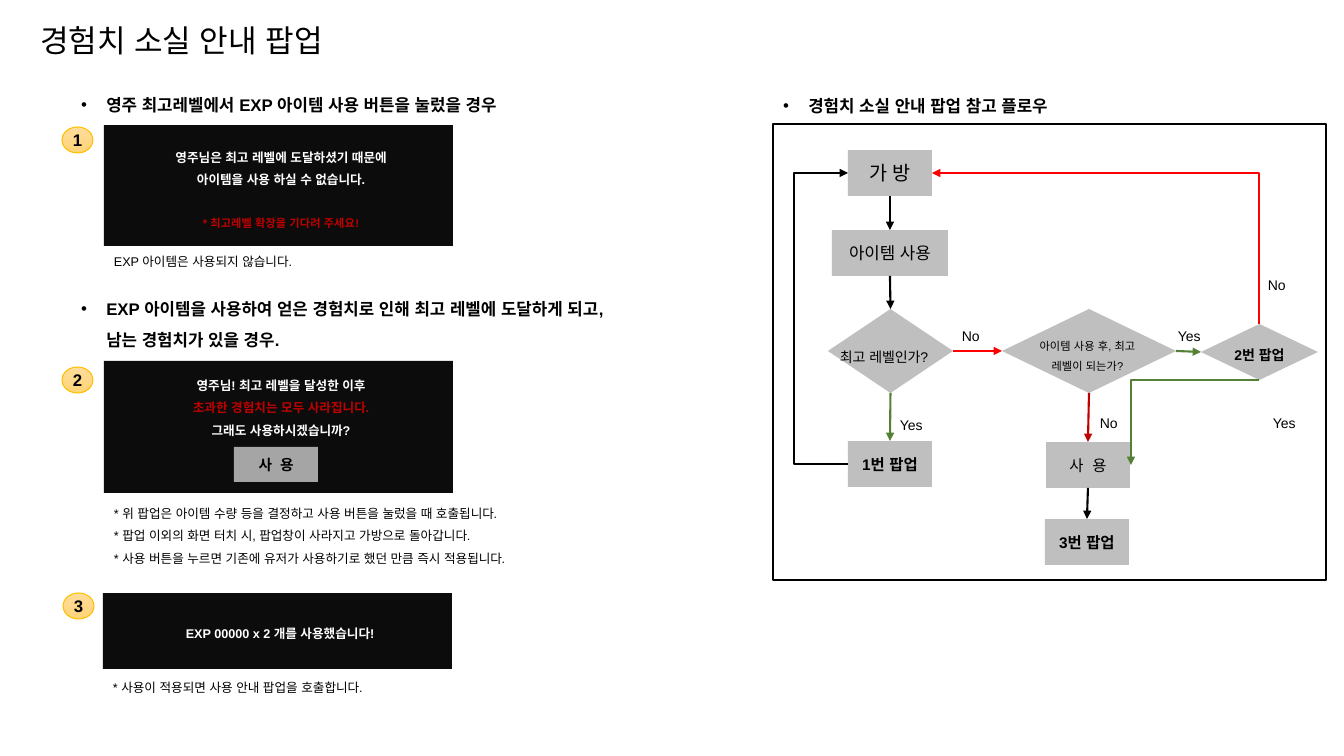
from copy import deepcopy

from lxml.etree import SubElement
from pptx import Presentation
from pptx.dml.color import RGBColor
from pptx.enum.shapes import MSO_CONNECTOR, MSO_SHAPE
from pptx.enum.text import MSO_ANCHOR, MSO_AUTO_SIZE, PP_ALIGN
from pptx.oxml.ns import qn
from pptx.util import Emu, Pt

PX = 914400 / 100.8
FONT = "Arial"
BLACK = RGBColor(0x00, 0x00, 0x00)
WHITE = RGBColor(0xFF, 0xFF, 0xFF)
PANEL = RGBColor(0x0C, 0x0C, 0x0C)
STEP_GRAY = RGBColor(0xBF, 0xBF, 0xBF)
BUTTON_GRAY = RGBColor(0xA5, 0xA5, 0xA5)
RED = RGBColor(0xFF, 0x00, 0x00)
DARK_RED = RGBColor(0xC0, 0x00, 0x00)
GREEN = RGBColor(0x54, 0x81, 0x35)
GOLD = RGBColor(0xFF, 0xC0, 0x00)
GOLD_TOP = RGBColor(0xFF, 0xDC, 0x9B)
GOLD_BOTTOM = RGBColor(0xFF, 0xD4, 0x78)
LEFT, CENTER = PP_ALIGN.LEFT, PP_ALIGN.CENTER
RECT, DIAMOND = MSO_SHAPE.RECTANGLE, MSO_SHAPE.FLOWCHART_DECISION
TOP_SITE, LEFT_SITE, BOTTOM_SITE, RIGHT_SITE = range(4)

TITLE = ("경험치 소실 안내 팝업", (30, 1, 654, 65))
# Within a paragraph, \v starts a new line.
HEADINGS = [
    ("영주 최고레벨에서 EXP 아이템 사용 버튼을 눌렀을 경우", (71, 80, 591, 45)),
    ("EXP 아이템을 사용하여 얻은 경험치로 인해 최고 레벨에 도달하게 되고,\v남는 경험치가 있을 경우.",
     (71, 284, 602, 89)),
    ("경험치 소실 안내 팝업 참고 플로우", (773, 81, 358, 45)),
]
# number, badge place, panel box, message box, message, note box, note
POPUPS = [
    ("1", (62, 127), (104, 125, 349, 121), (111, 137, 340, 99),
     "영주님은 최고 레벨에 도달하셨기 때문에\v아이템을 사용 하실 수 없습니다.\n* 최고레벨 확장을 기다려 주세요!",
     (104, 241, 329, 30), "EXP 아이템은 사용되지 않습니다."),
    ("2", (62, 367), (104, 361, 349, 132), (111, 365, 340, 79),
     "영주님! 최고 레벨을 달성한 이후\v초과한 경험치는 모두 사라집니다.\v그래도 사용하시겠습니까?",
     (104, 493, 455, 79),
     "* 위 팝업은 아이템 수량 등을 결정하고 사용 버튼을 눌렀을 때 호출됩니다.\v"
     "* 팝업 이외의 화면 터치 시, 팝업창이 사라지고 가방으로 돌아갑니다.\v"
     "* 사용 버튼을 누르면 기존에 유저가 사용하기로 했던 만큼 즉시 적용됩니다."),
    ("3", (63, 593), (103, 593, 349, 76), (110, 613, 340, 30),
     "EXP 00000 x 2 개를 사용했습니다!",
     (103, 667, 307, 33), "* 사용이 적용되면 사용 안내 팝업을 호출합니다."),
]
USE_BUTTON = ("사  용", (234, 447, 84, 35))
FLOW_FRAME = (773, 124, 553, 456)
# key: text, box, size, bold
STEPS = {
    "bag": ("가 방", (848, 150, 84, 46), 14, False),
    "use item": ("아이템 사용", (832, 230, 116, 46), 12, False),
    "popup 1": ("1번 팝업", (848, 441, 84, 46), 11, True),
    "use": ("사  용", (1046, 442, 84, 46), 11, False),
    "popup 3": ("3번 팝업", (1045, 519, 84, 46), 11, True),
}
# key: text, diamond box, text box, size, bold, alignment
DECISIONS = {
    "is max": ("최고 레벨인가?", (828, 309, 125, 84), (830, 335, 120, 32), 10, False, LEFT),
    "will be max": ("아이템 사용 후, 최고 레벨이 되는가?", (1002, 309, 174, 84),
                    (1022, 328, 131, 48), 8, False, CENTER),
    "popup 2": ("2번 팝업", (1201, 324, 117, 56), (1216, 333, 87, 32), 10, True, CENTER),
}
ARROWS = [
    ("bag", BOTTOM_SITE, "use item", TOP_SITE, BLACK),
    ("use item", BOTTOM_SITE, "is max", TOP_SITE, BLACK),
    ("is max", RIGHT_SITE, "will be max", LEFT_SITE, RED),
    ("is max", BOTTOM_SITE, "popup 1", TOP_SITE, GREEN),
    ("will be max", RIGHT_SITE, "popup 2", LEFT_SITE, GREEN),
    ("will be max", BOTTOM_SITE, "use", TOP_SITE, DARK_RED),
    ("use", BOTTOM_SITE, "popup 3", TOP_SITE, BLACK),
]
BENT_ARROWS = [
    ([(1259, 380), (1131, 380), (1131, 465)], GREEN),
    ([(1259, 324), (1259, 173), (932, 173)], RED),
    ([(848, 464), (794, 464), (794, 173), (848, 173)], BLACK),
]
BRANCH_LABELS = [("Yes", 890, 403), ("No", 1090, 401), ("Yes", 1263, 401),
                 ("Yes", 1168, 314), ("No", 952, 314), ("No", 1258, 263)]


def emu(*lengths):
    return [Emu(round(length * PX)) for length in lengths]


def write(shape, text, size, color=BLACK, bold=False, align=LEFT, spacing=1.5,
          anchor=MSO_ANCHOR.TOP, wrap=True):
    frame = shape.text_frame
    frame.text = text
    frame.word_wrap = wrap
    frame.auto_size = MSO_AUTO_SIZE.NONE
    frame.vertical_anchor = anchor
    for paragraph in frame.paragraphs:
        paragraph.alignment = align
        paragraph.line_spacing = spacing
        paragraph.space_before = Pt(0)
        for run in paragraph.runs:
            font = run.font
            font.name, font.size, font.bold = FONT, Pt(size), bold
            font.color.rgb = color
            SubElement(font._element, qn("a:ea")).set("typeface", FONT)
        for line_break in paragraph._p.findall(qn("a:br")):
            line_break.append(deepcopy(paragraph.runs[0].font._element))
    return frame


def place(shape, box):
    shape.left, shape.top, shape.width, shape.height = emu(*box)


def add_text(box, text, size, **style):
    return write(slide.shapes.add_textbox(*emu(*box)), text, size, **style)


def add_block(kind, box, fill):
    block = slide.shapes.add_shape(kind, *emu(*box))
    block.shadow.inherit = False
    block.fill.solid()
    block.fill.fore_color.rgb = fill
    block.line.fill.background()
    return block


def write_inside(block, text, size, bold):
    write(block, text, size, bold=bold, align=CENTER, spacing=1.0,
          anchor=MSO_ANCHOR.MIDDLE, wrap=False)


def add_bullet(paragraph):
    properties = paragraph._p.get_or_add_pPr()
    properties.set("marL", "228600")
    properties.set("indent", "-228600")
    SubElement(SubElement(properties, qn("a:buClr")), qn("a:srgbClr")).set("val", str(BLACK))
    SubElement(properties, qn("a:buFont")).set("typeface", FONT)
    SubElement(properties, qn("a:buChar")).set("char", "•")


def style_arrow(arrow, color):
    arrow.line.color.rgb = color
    arrow.line.width = Pt(1.5)
    SubElement(arrow.line._get_or_add_ln(), qn("a:tailEnd")).set("type", "triangle")


deck = Presentation()
deck.slide_width, deck.slide_height = emu(1344, 756)
slide = deck.slides.add_slide(deck.slide_layouts.get_by_name("Comparison"))

title_text, title_box = TITLE
place(slide.shapes.title, title_box)
write(slide.shapes.title, title_text, 22.2, spacing=1.4)

bodies = [holder for holder in slide.placeholders if holder.placeholder_format.idx > 0]
for body, (heading, box) in zip(bodies, HEADINGS):
    place(body, box)
    add_bullet(write(body, heading, 12, bold=True).paragraphs[0])
for unused in bodies[len(HEADINGS):]:
    unused._element.getparent().remove(unused._element)

for number, badge_place, panel_box, message_box, message, note_box, note in POPUPS:
    add_block(RECT, panel_box, PANEL)
    message_frame = add_text(message_box, message, 9, color=WHITE, bold=True, align=CENTER)
    if number == "1":
        warning = message_frame.paragraphs[1]
        warning.space_before = Pt(16)
        warning.runs[0].font.size = Pt(8)
        warning.runs[0].font.color.rgb = DARK_RED
    elif number == "2":
        message_frame.paragraphs[0].runs[1].font.color.rgb = DARK_RED
    add_text(note_box, note, 9)
    badge = add_block(MSO_SHAPE.OVAL, (*badge_place, 31, 26), GOLD)
    badge.fill.gradient()
    badge.fill.gradient_angle = 270
    for stop, color in zip(badge.fill.gradient_stops, (GOLD_TOP, GOLD_BOTTOM)):
        stop.color.rgb = color
    badge.line.color.rgb = GOLD
    badge.line.width = Pt(0.75)
    write_inside(badge, number, 12, True)

button_text, button_box = USE_BUTTON
write_inside(add_block(RECT, button_box, BUTTON_GRAY), button_text, 10.5, True)

flow_frame = add_block(RECT, FLOW_FRAME, WHITE)
flow_frame.line.color.rgb = BLACK
flow_frame.line.width = Pt(1)

nodes = {}
for key, (text, box, size, bold) in STEPS.items():
    nodes[key] = add_block(RECT, box, STEP_GRAY)
    write_inside(nodes[key], text, size, bold)
for key, (text, box, text_box, size, bold, align) in DECISIONS.items():
    nodes[key] = add_block(DIAMOND, box, STEP_GRAY)
    add_text(text_box, text, size, bold=bold, align=align)

for source, source_site, target, target_site, color in ARROWS:
    arrow = slide.shapes.add_connector(MSO_CONNECTOR.STRAIGHT, 0, 0, 0, 0)
    arrow.begin_connect(nodes[source], source_site)
    arrow.end_connect(nodes[target], target_site)
    style_arrow(arrow, color)
    SubElement(arrow._element.spPr, qn("a:effectLst"))
for points, color in BENT_ARROWS:
    start, *corners = [emu(*point) for point in points]
    builder = slide.shapes.build_freeform(*start)
    builder.add_line_segments(corners, close=False)
    bent_arrow = builder.convert_to_shape()
    bent_arrow.fill.background()
    bent_arrow.shadow.inherit = False
    style_arrow(bent_arrow, color)
for label, left, top in BRANCH_LABELS:
    add_text((left, top, 46, 32), label, 10)

deck.save("out.pptx")
